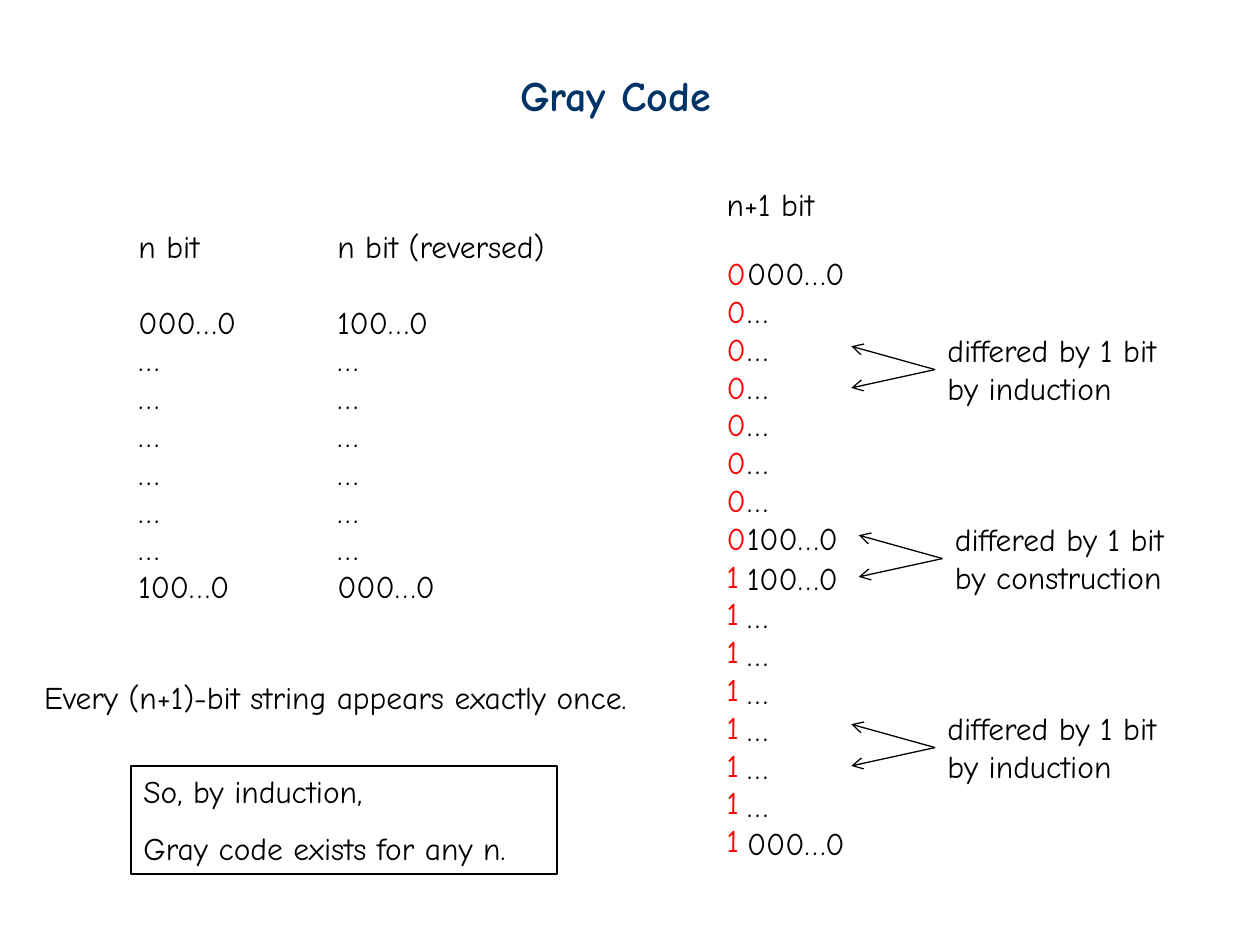
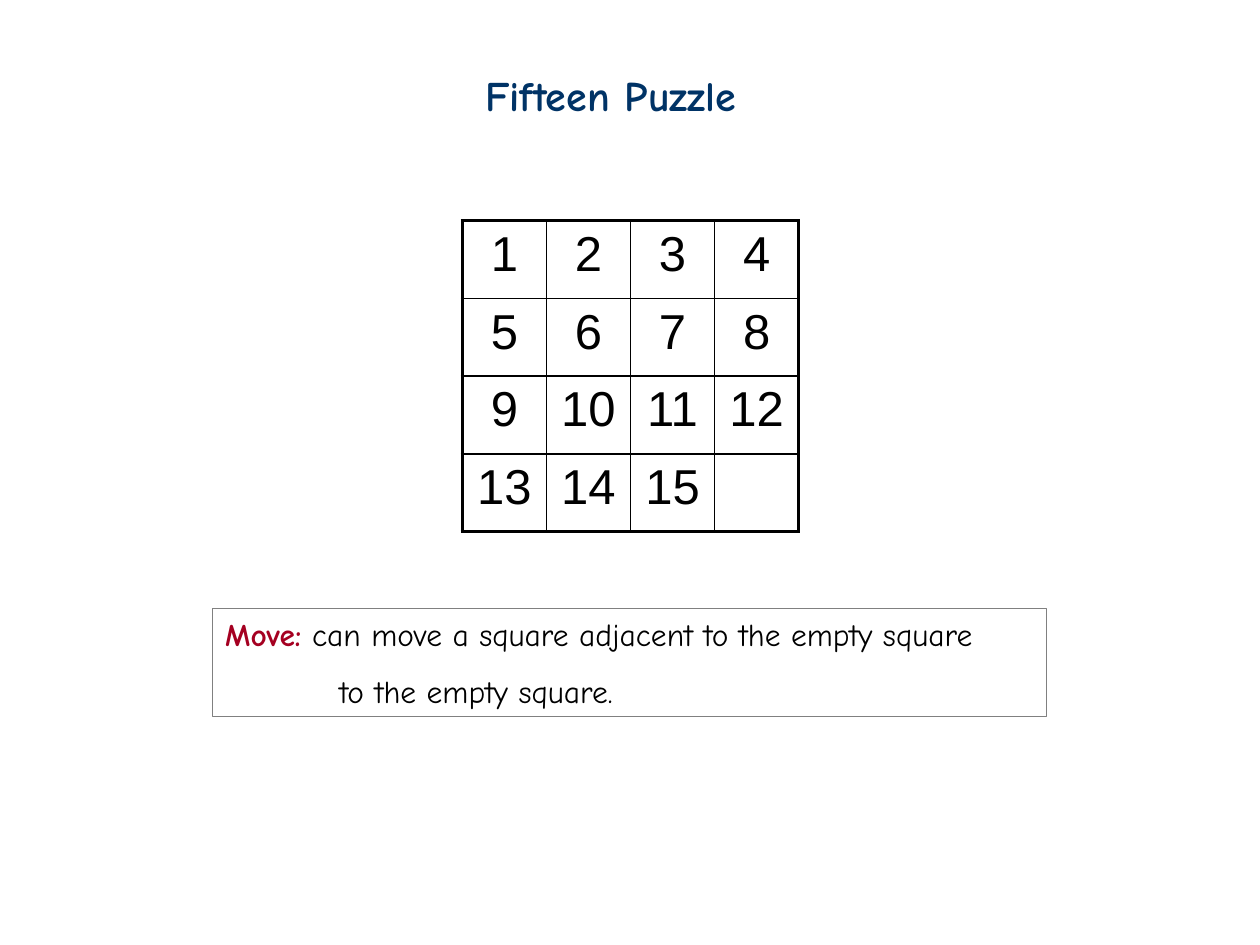
from typing import NamedTuple

import lxml.etree
import pptx
import pptx.dml.color
import pptx.enum.shapes
import pptx.enum.text
import pptx.oxml
import pptx.oxml.ns
import pptx.util

Cm = pptx.util.Cm
Pt = pptx.util.Pt
RGBColor = pptx.dml.color.RGBColor
qn = pptx.oxml.ns.qn

NAVY = RGBColor(0x00, 0x33, 0x66)
BLACK = RGBColor(0x00, 0x00, 0x00)
RED = RGBColor(0xFF, 0x00, 0x00)
WINE = RGBColor(0xA5, 0x00, 0x21)
GRAY = RGBColor(0x80, 0x80, 0x80)
FONT = "Comic Neue"
GRID_FONT = "Arial"
SIDE = 4
THICK, THIN = 2.25, 1
ROW_GAP = 21.7


class Area(NamedTuple):
    left: float
    top: float
    width: float
    height: float

    def cm(self) -> list:
        return [Cm(value) for value in self]


class Label(NamedTuple):
    area: Area
    lines: list
    color: RGBColor = BLACK
    size: float = 18
    bold: bool = False


class Note(NamedTuple):
    left: float
    top: float
    reason: str


def style(run, color: RGBColor, size: float = 18, bold: bool = False, name: str = FONT) -> None:
    font = run.font
    font.name, font.size, font.bold = name, Pt(size), bold
    font.color.rgb = color


def write(frame, label: Label) -> None:
    frame.word_wrap = True
    frame.vertical_anchor = pptx.enum.text.MSO_ANCHOR.TOP
    frame.text = "\n".join(label.lines)
    for para in frame.paragraphs:
        para.alignment = pptx.enum.text.PP_ALIGN.LEFT
        for run in para.runs:
            style(run, label.color, label.size, label.bold)


def add_label(slide, label: Label):
    box = slide.shapes.add_textbox(*label.area.cm())
    write(box.text_frame, label)
    return box


def add_title(slide, text: str, area: Area) -> None:
    add_label(slide, Label(area, [text], NAVY, 24, True))


def add_frame(slide, label: Label, edge: RGBColor):
    shape = slide.shapes.add_shape(
        pptx.enum.shapes.MSO_SHAPE.RECTANGLE, *label.area.cm())
    shape.shadow.inherit = False
    shape.fill.background()
    shape.line.color.rgb = edge
    shape.line.width = Pt(0.75)
    write(shape.text_frame, label)
    shape.text_frame.paragraphs[1].line_spacing = 1.5
    return shape


def add_arrow(slide, box, left: float, top: float) -> None:
    line = slide.shapes.add_connector(
        pptx.enum.shapes.MSO_CONNECTOR.STRAIGHT,
        box.left, box.top + box.height // 2, Cm(left), Cm(top))
    line.begin_connect(box, 1)
    line.line.color.rgb = BLACK
    line.line.width = Pt(0.75)
    stroke = line.line._get_or_add_ln()
    lxml.etree.SubElement(stroke, qn("a:tailEnd"), type="arrow")
    lxml.etree.SubElement(line._element.spPr, qn("a:effectLst"))


def add_note(slide, note: Note) -> None:
    area = Area(note.left, note.top, 5.54, 1.8)
    box = add_label(slide, Label(area, ["differed by 1 bit", note.reason]))
    for drop in (0.43, 1.27):
        add_arrow(slide, box, note.left - 1.69, note.top + drop)


def add_edge(cell, side: str, width: float) -> None:
    props = cell._tc.get_or_add_tcPr()
    edge = lxml.etree.SubElement(props, qn(f"a:ln{side}"), w=str(Pt(width)))
    fill = lxml.etree.SubElement(edge, qn("a:solidFill"))
    lxml.etree.SubElement(fill, qn("a:srgbClr"), val=str(BLACK))


def add_grid(slide, area: Area) -> None:
    table = slide.shapes.add_table(SIDE, SIDE, *area.cm()).table
    table.first_row = table.horz_banding = False
    last = SIDE - 1
    for row in range(SIDE):
        for col in range(SIDE):
            cell = table.cell(row, col)
            outer = {"L": col == 0, "R": col == last, "T": row == 0, "B": row == last}
            for side, thick in outer.items():
                add_edge(cell, side, THICK if thick else THIN)
            cell.fill.background()
            value = row * SIDE + col + 1
            if value < SIDE * SIDE:
                para = cell.text_frame.paragraphs[0]
                para.text = str(value)
                para.alignment = pptx.enum.text.PP_ALIGN.CENTER
                style(para.runs[0], BLACK, 28, name=GRID_FONT)


def draw_code(slide) -> None:
    add_title(slide, "Gray Code", Area(10.24, 1.27, 4.78, 1.3))
    codes = ["000…0"] + ["…"] * 6 + ["100…0"]
    back = codes[::-1]
    lists = [
        Label(Area(2.54, 4.45, 2.57, 7.95), ["n bit"] + codes),
        Label(Area(6.55, 4.45, 5.23, 7.95), ["n bit (reversed)"] + back),
    ]
    for label in lists:
        box = add_label(slide, label)
        box.text_frame.paragraphs[1].space_before = Pt(ROW_GAP)
    labels = [
        Label(Area(14.81, 5, 4.01, 6.4), codes),
        Label(Area(14.81, 11.15, 3.18, 6.4), back),
        Label(Area(14.4, 5, 0.91, 12.57), ["0"] * 8 + ["1"] * 8, RED),
        Label(Area(14.4, 3.61, 2.49, 1.02), ["n+1 bit"]),
        Label(Area(0.64, 13.54, 13.51, 1.02),
              ["Every (n+1)-bit string appears exactly once."]),
    ]
    for label in labels:
        add_label(slide, label)
    notes = [
        Note(18.85, 6.55, "by induction"),
        Note(19, 10.36, "by construction"),
        Note(18.85, 14.17, "by induction"),
    ]
    for note in notes:
        add_note(slide, note)
    proof = ["So, by induction,", "Gray code exists for any n."]
    add_frame(slide, Label(Area(2.64, 15.44, 8.59, 2.18), proof), BLACK)


def draw_puzzle(slide) -> None:
    add_title(slide, "Fifteen Puzzle", Area(9.53, 1.27, 6.35, 1.27))
    add_grid(slide, Area(9.32, 4.45, 6.78, 6.27))
    rule = Label(Area(4.29, 12.27, 16.81, 2.18), ["Move:", "to the empty square."])
    first, second = add_frame(slide, rule, GRAY).text_frame.paragraphs
    style(first.runs[0], WINE, bold=True)
    rest = first.add_run()
    rest.text = " can move a square adjacent to the empty square"
    style(rest, BLACK)
    second._p.get_or_add_pPr().set("marL", str(Cm(2.3)))


def main() -> None:
    deck = pptx.Presentation()
    deck.slide_width, deck.slide_height = Cm(25.4), Cm(19.05)
    for draw in (draw_code, draw_puzzle):
        draw(deck.slides.add_slide(deck.slide_layouts[6]))
    deck.save("out.pptx")


if __name__ == "__main__":
    main()
